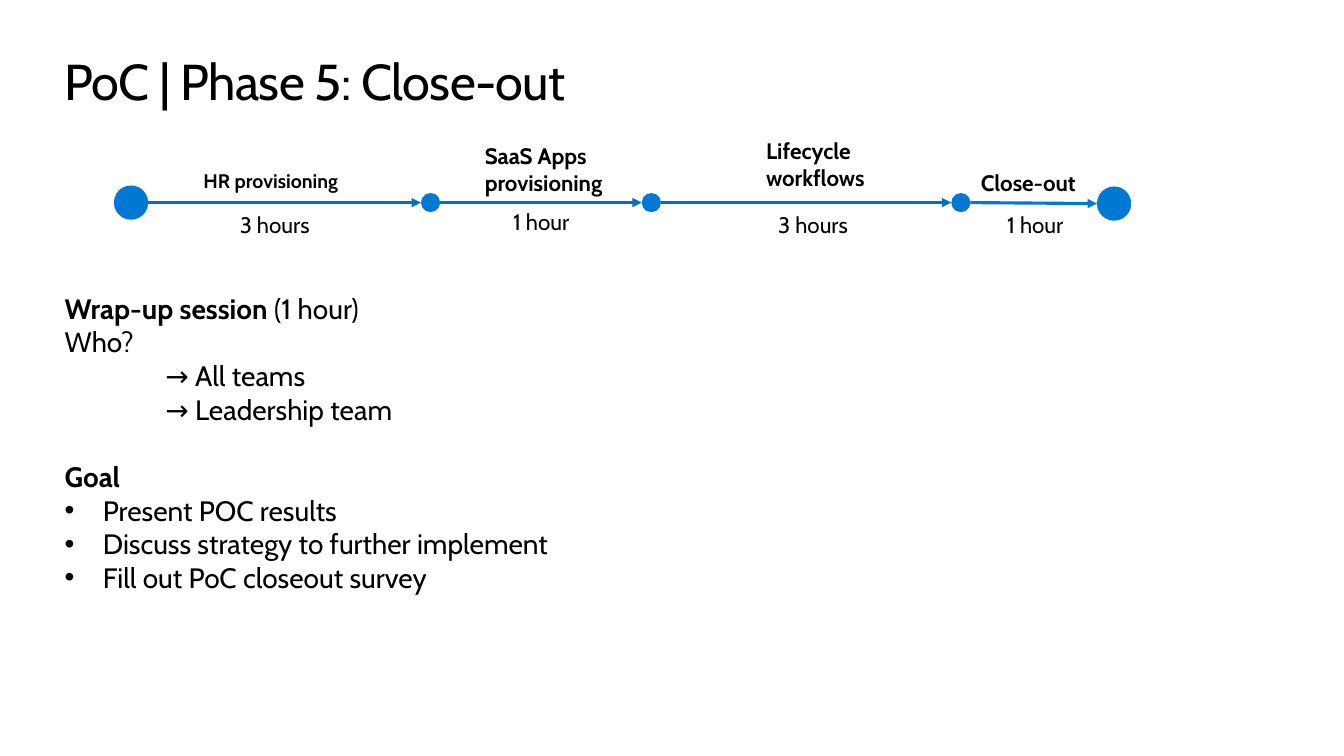
from itertools import pairwise

from lxml.etree import SubElement
from pptx import Presentation
from pptx.dml.color import RGBColor
from pptx.enum.shapes import MSO_CONNECTOR as Connector, MSO_SHAPE as Shape
from pptx.enum.text import MSO_ANCHOR as Anchor, MSO_AUTO_SIZE as AutoSize, PP_ALIGN as Align
from pptx.oxml.ns import qn
from pptx.util import Inches, Pt


def color(hex_code):
    return RGBColor.from_string(hex_code)


class TimelineSlide:
    """Draws text, milestones and arrows on one slide in a shared style."""

    FONT, INK, BLUE, ARROW_BLUE = "Cabin", "000000", "0078D4", "0070C0"

    def __init__(self, deck):
        self.slide = deck.slides.add_slide(deck.slide_layouts[1])
        self.shapes = self.slide.shapes

    def style(self, font, size, bold=False):
        font.name, font.size, font.bold = self.FONT, Pt(size), bold
        font.color.rgb = color(self.INK)

    def place(self, holder, left, top, width, height):
        holder.left, holder.top = Inches(left), Inches(top)
        holder.width, holder.height = Inches(width), Inches(height)
        frame = holder.text_frame
        frame.margin_left = frame.margin_right = frame.margin_top = frame.margin_bottom = 0
        frame.auto_size, frame.word_wrap = AutoSize.NONE, True
        frame.vertical_anchor = Anchor.TOP
        return frame

    def title(self, text, *box):
        paragraph = self.place(self.shapes.title, *box).paragraphs[0]
        paragraph.alignment = Align.LEFT
        run = paragraph.add_run()
        run.text = text
        run.font._element.set("spc", "-50")
        self.style(paragraph.font, 36)

    def body(self, lines, *box):
        frame = self.place(self.slide.placeholders[1], *box)
        for index, (runs, margin, bullet, before) in enumerate(lines):
            paragraph = frame.add_paragraph() if index else frame.paragraphs[0]
            props = paragraph._p.get_or_add_pPr()
            props.set("marL", str(Inches(margin)))
            props.set("indent", str(Inches(-margin if bullet else 0)))
            if bullet:
                SubElement(props, qn("a:buFont"), typeface="Arial")
                SubElement(props, qn("a:buChar"), char=bullet)
            else:
                SubElement(props, qn("a:buNone"))
            paragraph.space_before = Pt(before)
            self.style(paragraph.font, 20, None)
            for text, bold in runs:
                run = paragraph.add_run()
                run.text, run.font.bold = text, bold

    def label(self, text, left, top, width, height, size=16, bold=False):
        box = self.shapes.add_textbox(Inches(left), Inches(top), Inches(width), Inches(height))
        box.text_frame.word_wrap = True
        paragraph = box.text_frame.paragraphs[0]
        paragraph.text = text
        self.style(paragraph.font, size, bold)

    def milestone(self, center, middle, size):
        dot = self.shapes.add_shape(Shape.OVAL, Inches(center - size / 2),
                                    Inches(middle - size / 2), Inches(size), Inches(size))
        dot.shadow.inherit = False
        dot.fill.solid()
        dot.fill.fore_color.rgb = color(self.BLUE)
        dot.line.fill.background()

    def arrow(self, start, end, y, end_y, shade):
        line = self.shapes.add_connector(Connector.STRAIGHT, Inches(start), Inches(y),
                                         Inches(end), Inches(end_y))
        line.line.color.rgb, line.line.width = color(shade), Pt(2.25)
        SubElement(line.line._get_or_add_ln(), qn("a:tailEnd"), type="triangle")
        SubElement(line._element.spPr, qn("a:effectLst"))


def main():
    deck = Presentation()
    deck.slide_width, deck.slide_height = Inches(13.33), Inches(7.5)
    closeout = TimelineSlide(deck)
    closeout.title("PoC | Phase 5: Close-out", 0.64, 0.5, 12.05, 0.61)

    goals = ["Present POC results", "Discuss strategy to further implement",
             "Fill out PoC closeout survey"]
    closeout.body([
        ([("Wrap-up session ", True), ("(1 hour)", False)], 0, None, 0),
        ([("Who?", False)], 0, None, 0),
        *[([(f"→ {team}", False)], 1, None, 0) for team in ("All teams", "Leadership team")],
        ([("Goal", True)], 0, None, 24),
        *[([(goal, False)], 0.38, "•", 0) for goal in goals],
    ], 0.64, 2.89, 11.09, 3.03)

    milestones = [(1.3, 2.01, 0.34), (4.27, 2.01, 0.19), (6.46, 2.01, 0.19),
                  (9.53, 2.01, 0.19), (11.05, 2.02, 0.34)]
    for milestone in milestones:
        closeout.milestone(*milestone)
    for (start, y, size), (end, end_y, end_size) in pairwise(milestones):
        shade = closeout.BLUE if end == milestones[-1][0] else closeout.ARROW_BLUE
        closeout.arrow(start + size / 2, end - end_size / 2, y, end_y, shade)

    phases = [
        ("HR provisioning", (1.92, 1.63, 2.1, 0.34), 14, "3 hours", 2.28, 2.05),
        ("SaaS Apps provisioning", (4.71, 1.36, 1.74, 0.64), 16, "1 hour", 4.99, 2.02),
        ("Lifecycle workflows", (7.5, 1.31, 1.74, 0.64), 16, "3 hours", 7.62, 2.05),
        ("Close-out", (9.63, 1.63, 1.31, 0.37), 16, "1 hour", 9.89, 2.05),
    ]
    for phase, box, size, duration, left, top in phases:
        closeout.label(phase, *box, size=size, bold=True)
        closeout.label(duration, left, top, 0.94, 0.37)

    deck.save("out.pptx")


if __name__ == "__main__":
    main()
